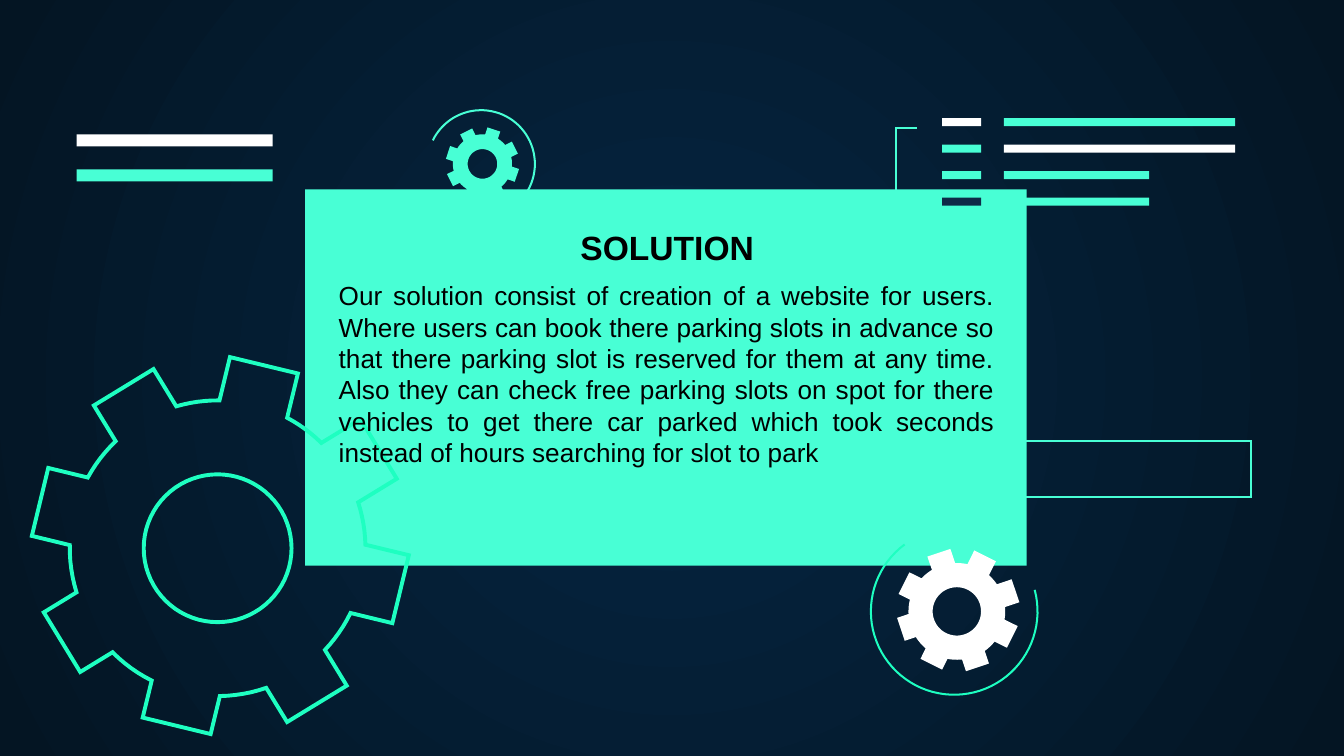
"""Builds the SOLUTION slide with its gears, bars and frames."""
from math import cos, pi, radians, sin, sqrt, atan2

from lxml import etree
from pptx import Presentation
from pptx.dml.color import RGBColor
from pptx.enum.shapes import MSO_SHAPE
from pptx.enum.text import MSO_ANCHOR, MSO_AUTO_SIZE, PP_ALIGN
from pptx.oxml.ns import qn
from pptx.util import Inches, Pt

RECTANGLE = MSO_SHAPE.RECTANGLE
TOP = MSO_ANCHOR.TOP
FIT_TEXT = MSO_AUTO_SIZE.SHAPE_TO_FIT_TEXT
CENTER, JUSTIFY = PP_ALIGN.CENTER, PP_ALIGN.JUSTIFY

MINT, GREEN, WHITE, NAVY, BLACK = "48FFD5", "1EFFC1", "FFFFFF", "0E2A47", "000000"
FONT = "Arial"
TEETH = 8
THIN, THICK = 1.09, 2.1

SOLUTION = (
    "Our solution consist of creation of a website for users. Where users can book "
    "there parking slots in advance so that there parking slot is reserved for them "
    "at any time. Also they can check free parking slots on spot for there vehicles "
    "to get there car parked which took seconds instead of hours searching for slot "
    "to park"
)


def color(value):
    """Turn a hex string into a colour."""
    return RGBColor.from_string(value)


def arc_points(center, radius, start, end, steps):
    """Return points along an arc whose angles are in radians, clockwise."""
    angles = [start + (end - start) * step / steps for step in range(steps + 1)]
    return [(center[0] + radius * cos(a), center[1] + radius * sin(a)) for a in angles]


def tooth_points(center, hub, tip, root, half, angle):
    """Return the four corners of a straight-sided tooth on the hub's circle."""
    ux, uy = cos(angle), sin(angle)
    sides = []
    for side in (-half, half):
        x, y = center[0] - side * uy, center[1] + side * ux
        dx, dy = x - hub[0], y - hub[1]
        along = dx * ux + dy * uy
        base = sqrt(along ** 2 - dx ** 2 - dy ** 2 + root ** 2) - along
        sides.append([(x + base * ux, y + base * uy), (x + tip * ux, y + tip * uy)])
    return sides[0] + sides[1][::-1]


class SlideBuilder:
    """Holds the style and the current slide."""

    def __init__(self, slide):
        """Keep the slide to draw on."""
        self.slide = slide
        self.shapes = slide.shapes

    def background(self, inner, outer):
        """Fill the background with a round gradient."""
        fill = self.slide.background.fill
        fill.gradient()
        for stop, value in zip(fill.gradient_stops, (inner, outer)):
            stop.color.rgb = color(value)
        linear = self.slide.element.find(".//" + qn("a:lin"))
        circle = etree.Element(qn("a:path"))
        circle.set("path", "circle")
        etree.SubElement(circle, qn("a:fillToRect"))
        linear.getparent().replace(linear, circle)

    def paint(self, shape, fill=None, line=None, width=THIN):
        """Set the fill and the sharp-cornered outline of a shape."""
        shape.shadow.inherit = False
        if fill:
            shape.fill.solid()
            shape.fill.fore_color.rgb = color(fill)
        else:
            shape.fill.background()
        if line:
            shape.line.color.rgb = color(line)
            shape.line.width = Pt(width)
            outline = shape.element.spPr.find(qn("a:ln"))
            etree.SubElement(outline, qn("a:miter")).set("lim", "800000")
        else:
            shape.line.fill.background()

    def box(self, left, top, width, height, **look):
        """Add a rectangle."""
        lengths = [Inches(n) for n in (left, top, width, height)]
        self.paint(self.shapes.add_shape(RECTANGLE, *lengths), **look)

    def outline(self, contours, close, **look):
        """Add a freeform made of one or more contours."""
        contours = [[(Inches(x), Inches(y)) for x, y in points] for points in contours]
        builder = self.shapes.build_freeform(*contours[0][0], scale=1.0)
        builder.add_line_segments(contours[0][1:], close=close)
        for points in contours[1:]:
            builder.move_to(*points[0])
            builder.add_line_segments(points[1:], close=close)
        self.paint(builder.convert_to_shape(), **look)

    def arc(self, center, radius, start, end, line):
        """Add an open arc with angles in degrees."""
        points = arc_points(center, radius, radians(start), radians(end), 60)
        self.outline([points], False, line=line)

    def gear(self, center, hub, tip, root, hole, half, turn, **look):
        """Add a gear with a round hole."""
        rim = []
        for tooth in range(TEETH):
            corners = tooth_points(center, hub, tip, root, half,
                                   radians(turn) + tooth * 2 * pi / TEETH)
            if rim:
                rim += self.valley(hub, root, rim[-1], corners[0])
            rim += corners
        rim += self.valley(hub, root, rim[-1], rim[0])
        self.outline([rim, arc_points(hub, hole, 0, 2 * pi, 72)[:-1]], True, **look)

    def valley(self, hub, root, first, last):
        """Return the points of the rim between two teeth."""
        start, end = (atan2(y - hub[1], x - hub[0]) for x, y in (first, last))
        return arc_points(hub, root, start, start + (end - start) % (2 * pi), 6)[1:-1]

    def text(self, holder, words, place, size, align, bold=False):
        """Fill a placeholder, place it and bring it to the front."""
        holder.left, holder.top, holder.width, holder.height = map(Inches, place)
        self.shapes.element.append(holder.element)
        frame = holder.text_frame
        frame.text = words
        frame.word_wrap = True
        frame.auto_size = FIT_TEXT
        frame.vertical_anchor = TOP
        paragraph = frame.paragraphs[0]
        paragraph.alignment = align
        paragraph.line_spacing = 1.0
        paragraph.space_before = Pt(0)
        paragraph.font.name = FONT
        paragraph.font.size = Pt(size)
        paragraph.font.bold = bold
        paragraph.font.color.rgb = color(BLACK)
        properties = paragraph._p.get_or_add_pPr()
        properties.set("marL", "0")
        properties.set("indent", "0")
        properties.insert_element_before(
            etree.Element(qn("a:buNone")), "a:tabLst", "a:defRPr", "a:extLst")


def main():
    """Build the slide and save it."""
    deck = Presentation()
    deck.slide_width, deck.slide_height = Inches(10), Inches(10) * 9 // 16
    slide = deck.slides.add_slide(deck.slide_layouts[1])
    page = SlideBuilder(slide)
    page.background("052643", "041523")
    page.box(2.27, 1.41, 5.37, 2.8, fill=MINT)

    page.arc((3.58, 1.22), 0.4, 206, 456, MINT)
    page.arc((7.1, 4.55), 0.62, -15, 233.5, GREEN)
    page.gear((1.64, 4.06), (1.62, 4.08), 1.38, 1.1, 0.55, 0.26, 13.6,
              line=GREEN, width=THICK)
    page.gear((7.13, 4.54), (7.12, 4.55), 0.45, 0.36, 0.18, 0.09, -18.6, fill=WHITE)
    page.gear((3.59, 1.22), (3.59, 1.22), 0.27, 0.22, 0.11, 0.05, 18.4, fill=MINT)

    rows = [(WHITE, MINT, 1.72), (MINT, WHITE, 1.72), (MINT, MINT, 1.08), (NAVY, MINT, 1.08)]
    row_gap = (1.47 - 0.88) / (len(rows) - 1)
    for row, (label, bar, length) in enumerate(rows):
        top = 0.88 + row * row_gap
        page.box(7.01, top, 0.29, 0.06, fill=label)
        page.box(7.47, top, length, 0.06, fill=bar)
    page.outline([[(6.83, 1.56), (6.67, 1.56), (6.67, 0.95), (6.82, 0.95)]], False, line=MINT)
    for top, stripe in ((1, WHITE), (1.26, MINT)):
        page.box(0.57, top, 1.46, 0.09, fill=stripe)
    page.box(7.2, 3.28, 2.11, 0.42, line=MINT)

    heading, body = slide.placeholders
    page.text(heading, "SOLUTION", (2.58, 1.64, 4.77, 0.4), 18, CENTER, bold=True)
    page.text(body, SOLUTION, (2.42, 2.03, 5.08, 1.51), 14, JUSTIFY)
    deck.save("out.pptx")


if __name__ == "__main__":
    main()
